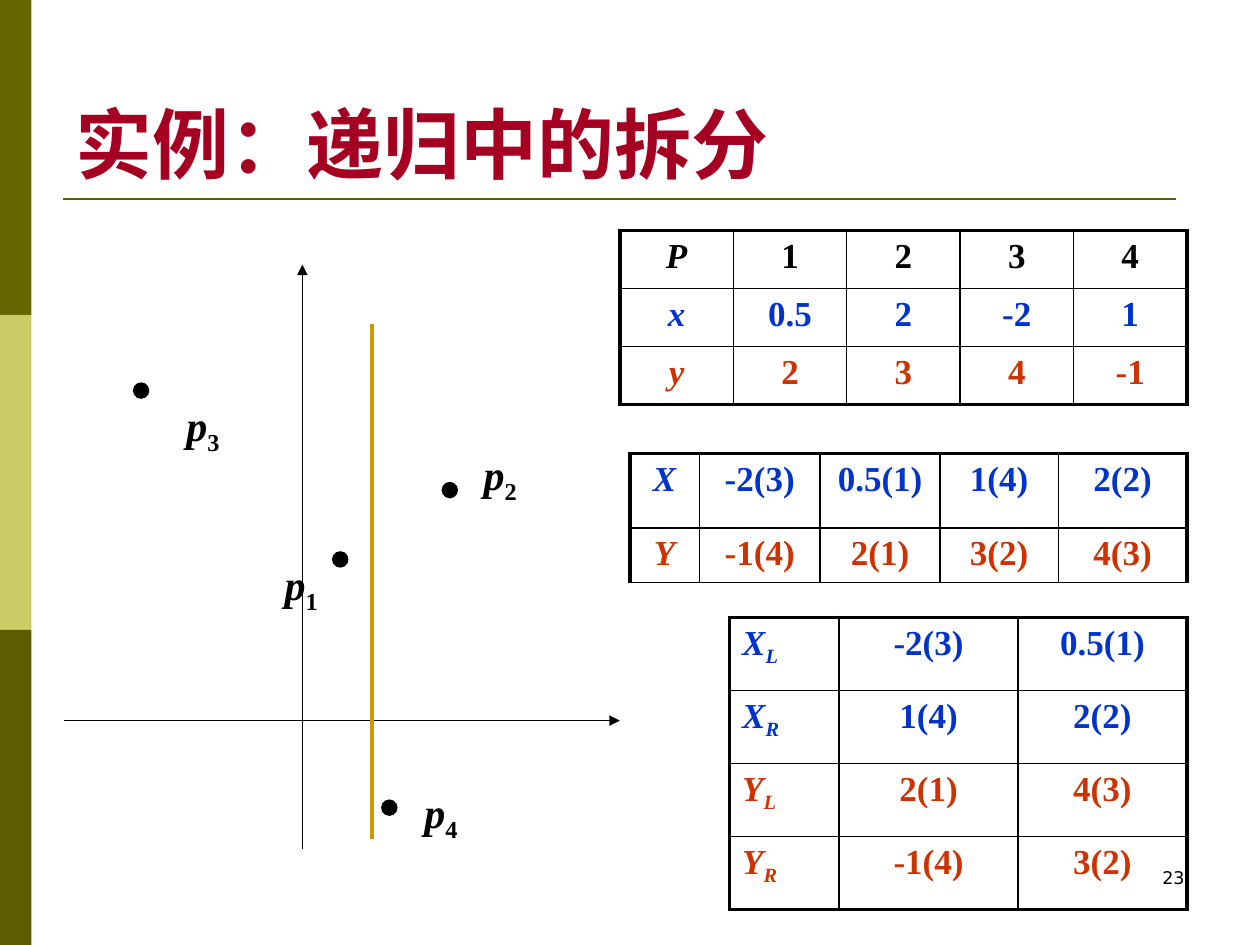
from lxml import etree
from pptx import Presentation
from pptx import util as u
from pptx.dml.color import RGBColor
from pptx.enum import shapes, text
from pptx.oxml.ns import qn

BLACK, BLUE, RED = "000000", "0033CC", "CC3300"
THIN, THICK = 1, 2.25


def rgb(value):
    return RGBColor.from_string(value)


def write(p, content, size=20, color=BLACK, bold=True, italic=False,
          sub_italic=False, font="Times New Roman", align=text.PP_ALIGN.LEFT):
    p.alignment = align
    for i, part in enumerate(content.split("_")):
        r = p.add_run()
        r.text = part
        r.font.name, r.font.size = font, u.Pt(size)
        r.font.bold = bold
        r.font.italic = sub_italic if i else italic
        r.font.color.rgb = rgb(color)
        if i:
            r._r.get_or_add_rPr().set("baseline", "-25000")


class Board:
    def __init__(self, slide):
        self.s = slide

    def title(self, content, x, y, w, h):
        sp = self.s.shapes.title
        sp.left, sp.top, sp.width, sp.height = map(u.Inches, (x, y, w, h))
        tf = sp.text_frame
        tf.auto_size = text.MSO_AUTO_SIZE.NONE
        tf.vertical_anchor = text.MSO_ANCHOR.BOTTOM
        write(tf.paragraphs[0], content, size=44, color="A50021")

    def shape(self, kind, x, y, w, h, color, outline=False):
        sp = self.s.shapes.add_shape(kind, *map(u.Inches, (x, y, w, h)))
        sp.shadow.inherit = False
        sp.fill.solid()
        sp.fill.fore_color.rgb = rgb(color)
        if outline:
            sp.line.color.rgb = rgb(color)
            sp.line.width = u.Pt(0.75)
        else:
            sp.line.fill.background()

    def text(self, content, x, y, w, h, **fmt):
        tf = self.s.shapes.add_textbox(*map(u.Inches, (x, y, w, h))).text_frame
        tf.word_wrap = True
        write(tf.paragraphs[0], content, **fmt)

    def line(self, x1, y1, x2, y2, color=BLACK, width=0.75, arrow=False):
        sp = self.s.shapes.add_connector(
            shapes.MSO_CONNECTOR.STRAIGHT, *map(u.Inches, (x1, y1, x2, y2)))
        sp.line.color.rgb = rgb(color)
        sp.line.width = u.Pt(width)
        if arrow:
            etree.SubElement(sp.line._get_or_add_ln(), qn("a:tailEnd"), type="triangle")
        etree.SubElement(sp._element.spPr, qn("a:effectLst"))

    def borders(self, cell, widths):
        tcPr = cell._tc.get_or_add_tcPr()
        for i, (side, width) in enumerate(zip("LRTB", widths)):
            ln = etree.Element(qn("a:ln" + side), w=str(u.Pt(width)))
            fill = etree.SubElement(ln, qn("a:solidFill"))
            etree.SubElement(fill, qn("a:srgbClr"), val=BLACK)
            tcPr.insert(i, ln)

    def table(self, x, y, cols, rows, data, colors, head_align, bottom=THICK):
        nr, nc = len(rows), len(cols)
        tbl = self.s.shapes.add_table(
            nr, nc, *map(u.Inches, (x, y, sum(cols), sum(rows)))).table
        tbl.first_row = tbl.horz_banding = False
        for j, w in enumerate(cols):
            tbl.columns[j].width = u.Inches(w)
        for i, h in enumerate(rows):
            tbl.rows[i].height = u.Inches(h)
            for j, content in enumerate(data[i]):
                cell = tbl.cell(i, j)
                cell.fill.background()
                head = j == 0
                write(cell.text_frame.paragraphs[0], content, color=colors[i],
                      italic=head, sub_italic=head,
                      align=head_align if head else text.PP_ALIGN.CENTER)
                self.borders(cell, (THICK if head else THIN,
                                    THICK if j == nc - 1 else THIN,
                                    THICK if i == 0 else THIN,
                                    bottom if i == nr - 1 else THIN))


prs = Presentation()
prs.slide_width, prs.slide_height = u.Inches(10), u.Inches(7.5)
b = Board(prs.slides.add_slide(prs.slide_layouts[5]))
LEFT, CENTER, RIGHT = text.PP_ALIGN.LEFT, text.PP_ALIGN.CENTER, text.PP_ALIGN.RIGHT

for i, band in enumerate(("666600", "CCCC66", "5E5C00")):
    b.shape(shapes.MSO_SHAPE.RECTANGLE, 0, 2.5 * i, 0.25, 2.5, band)
b.line(0.5, 1.58, 9.33, 1.58, "5E5C00", 1.5)
b.text("23", 7.17, 6.83, 2.33, 0.5, size=10, bold=False, font="DejaVu Sans", align=RIGHT)
b.title("实例：递归中的拆分", 0.5, 0.3, 9, 1.25)

b.table(5, 3.6, (0.55, 0.96, 0.95, 0.94, 1.02), (0.59, 0.41),
        (("X", "-2(3)", "0.5(1)", "1(4)", "2(2)"),
         ("Y", "-1(4)", "2(1)", "3(2)", "4(3)")),
        (BLUE, RED), CENTER, bottom=THIN)
b.table(4.92, 1.83, (0.9,) * 5, (0.46,) * 3,
        (("P", "1", "2", "3", "4"),
         ("x", "0.5", "2", "-2", "1"),
         ("y", "2", "3", "4", "-1")),
        (BLACK, BLUE, RED), CENTER)

b.line(0.51, 5.72, 4.92, 5.72, arrow=True)
b.line(2.4, 6.74, 2.4, 2.1, arrow=True)
points = (("p_1", 2.64, 4.38, 2.16, 4.38), ("p_2", 3.51, 3.83, 3.74, 3.51),
          ("p_3", 1.06, 3.04, 1.38, 3.12), ("p_4", 3.03, 6.35, 3.27, 6.19))
for name, dot_x, dot_y, label_x, label_y in points:
    b.shape(shapes.MSO_SHAPE.OVAL, dot_x, dot_y, 0.12, 0.12, BLACK, outline=True)
    b.text(name, label_x, label_y, 0.55, 0.5, size=24, italic=True)
b.line(2.95, 2.57, 2.95, 6.66, "CC9900", 2.25)

b.table(5.79, 4.9, (0.87, 1.42, 1.34), (0.58,) * 4,
        (("X_L", "-2(3)", "0.5(1)"),
         ("X_R", "1(4)", "2(2)"),
         ("Y_L", "2(1)", "4(3)"),
         ("Y_R", "-1(4)", "3(2)")),
        (BLUE, BLUE, RED, RED), LEFT)

prs.save("out.pptx")
